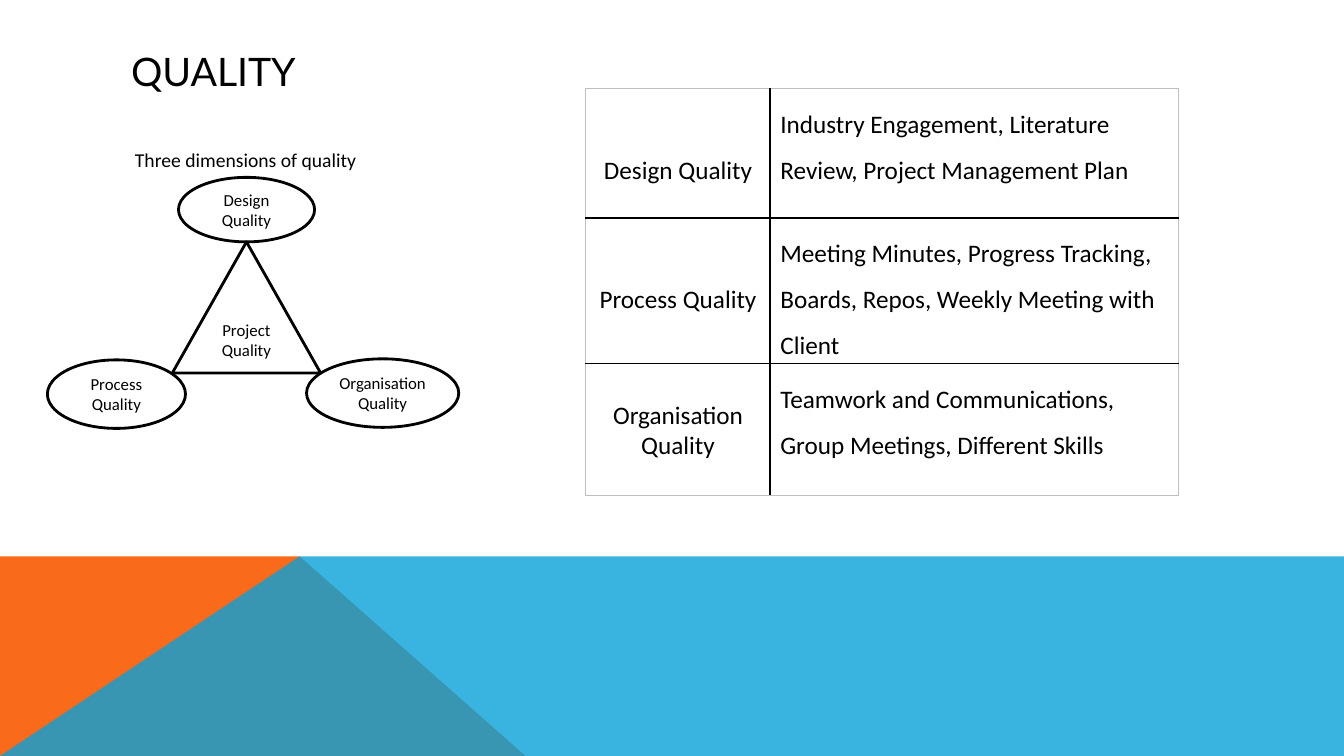
"""Build the slide on the three dimensions of project quality."""
from lxml.etree import SubElement
from pptx import Presentation
from pptx.dml.color import RGBColor
from pptx.enum.shapes import MSO_SHAPE as Preset
from pptx.enum.text import MSO_ANCHOR as Anchor, PP_ALIGN as Align
from pptx.oxml.ns import qn
from pptx.util import Inches, Pt

WIDTH, HEIGHT = 13.33, 7.5
BLACK, WHITE, GREY = "000000", "FFFFFF", "BFBFBF"
ORANGE, BLUE = "F96A1B", "08A1D9"
HEADING = "QUALITY"
CAPTION = "Three dimensions of quality"
BAND_TOP = 5.52 / HEIGHT
BAND = [
    (ORANGE, 100, [(0, 1), (0, BAND_TOP), (0.223, BAND_TOP), (0.391, 1)]),
    (BLUE, 80, [(0, 1), (0.223, BAND_TOP), (1, BAND_TOP), (1, 1)]),
]
DIAGRAM = [
    ("Design Quality", Preset.OVAL, (1.77, 1.76, 1.35, 0.64)),
    ("Process Quality", Preset.OVAL, (0.47, 3.57, 1.37, 0.68)),
    ("Organisation Quality", Preset.OVAL, (3.04, 3.56, 1.51, 0.68)),
    ("Project Quality", Preset.ISOSCELES_TRIANGLE, (1.71, 2.4, 1.47, 1.3)),
]
EVIDENCE = [
    ("Design Quality", 3, Anchor.TOP,
     "Industry Engagement, Literature Review, Project Management Plan"),
    ("Process Quality", 3, Anchor.TOP,
     "Meeting Minutes, Progress Tracking, Boards, Repos, Weekly Meeting with Client"),
    ("Organisation Quality", 1, Anchor.MIDDLE,
     "Teamwork and Communications, Group Meetings, Different Skills"),
]
COLUMNS, ROWS = (1.83, 4.05), (1.28, 1.45, 1.3)
RULES = (1.5, 1)


def color(code):
    return RGBColor.from_string(code)


def box(*lengths):
    return [Inches(length) for length in lengths]


def write(frame, text, size=12, font="Calibri", align=Align.LEFT,
          anchor=Anchor.MIDDLE, spacing=None, wrap=True):
    frame.text = text
    frame.word_wrap = wrap
    frame.vertical_anchor = anchor
    line = frame.paragraphs[0]
    line.alignment = align
    line.line_spacing = spacing
    line.font.size, line.font.name = Pt(size), font
    line.font.color.rgb = color(BLACK)


def border(cell, **sides):
    properties = cell._tc.get_or_add_tcPr()
    for place, side in enumerate(("lnL", "lnR", "lnT", "lnB")):
        code, points = sides[side]
        edge = SubElement(properties, qn(f"a:{side}"), w=str(Pt(points)))
        fill = SubElement(edge, qn("a:solidFill"))
        SubElement(fill, qn("a:srgbClr"), val=code)
        properties.insert(place, edge)


def add_band(slide):
    for code, opacity, corners in BAND:
        points = box(*(n for x, y in corners for n in (x * WIDTH, y * HEIGHT)))
        start, *others = zip(points[::2], points[1::2])
        outline = slide.shapes.build_freeform(*start)
        outline.add_line_segments(others, close=True)
        area = outline.convert_to_shape()
        area.shadow.inherit = False
        area.line.fill.background()
        area.fill.solid()
        area.fill.fore_color.rgb = color(code)
        if opacity < 100:
            tint = area._element.spPr.find(".//" + qn("a:srgbClr"))
            SubElement(tint, qn("a:alpha"), val=str(opacity * 1000))


def add_diagram(slide):
    for label, preset, place in DIAGRAM:
        node = slide.shapes.add_shape(preset, *box(*place))
        node.shadow.inherit = False
        node.fill.solid()
        node.fill.fore_color.rgb = color(WHITE)
        node.line.color.rgb, node.line.width = color(BLACK), Pt(2)
        frame = node.text_frame
        frame.margin_left = frame.margin_right = Inches(0.05)
        write(frame, label, align=Align.CENTER)
    caption = slide.shapes.add_textbox(*box(1.24, 1.42, 2.4, 0.34))
    write(caption.text_frame, CAPTION, size=14, anchor=Anchor.TOP, wrap=False)


def add_evidence(slide):
    frame = slide.shapes.add_table(len(ROWS), len(COLUMNS),
                                   *box(5.81, 0.88, sum(COLUMNS), sum(ROWS)))
    table = frame.table
    table.first_row = table.horz_banding = False
    for column, width in zip(table.columns, COLUMNS):
        column.width = Inches(width)
    outer, divider = (GREY, 0.5), (BLACK, 1.5)
    edges = [outer, *((BLACK, points) for points in RULES), outer]
    for r, (name, spacing, anchor, items) in enumerate(EVIDENCE):
        table.rows[r].height = Inches(ROWS[r])
        label, detail = table.cell(r, 0), table.cell(r, 1)
        write(label.text_frame, name, size=18, align=Align.CENTER, spacing=spacing)
        write(detail.text_frame, items, size=18, spacing=1.5)
        label.vertical_anchor, detail.vertical_anchor = anchor, Anchor.TOP
        for cell, left, right in ((label, outer, divider), (detail, divider, outer)):
            cell.margin_bottom = Inches(0.02)
            cell.fill.background()
            border(cell, lnL=left, lnR=right, lnT=edges[r], lnB=edges[r + 1])


def main():
    deck = Presentation()
    deck.slide_width, deck.slide_height = box(WIDTH, HEIGHT)
    slide = deck.slides.add_slide(deck.slide_layouts[5])
    add_band(slide)
    title = slide.shapes.title
    title.left, title.top, title.width, title.height = box(1.2, 0.4, 10.97, 0.6)
    write(title.text_frame, HEADING, size=28, font="Lato")
    add_diagram(slide)
    add_evidence(slide)
    deck.save("out.pptx")


if __name__ == "__main__":
    main()
